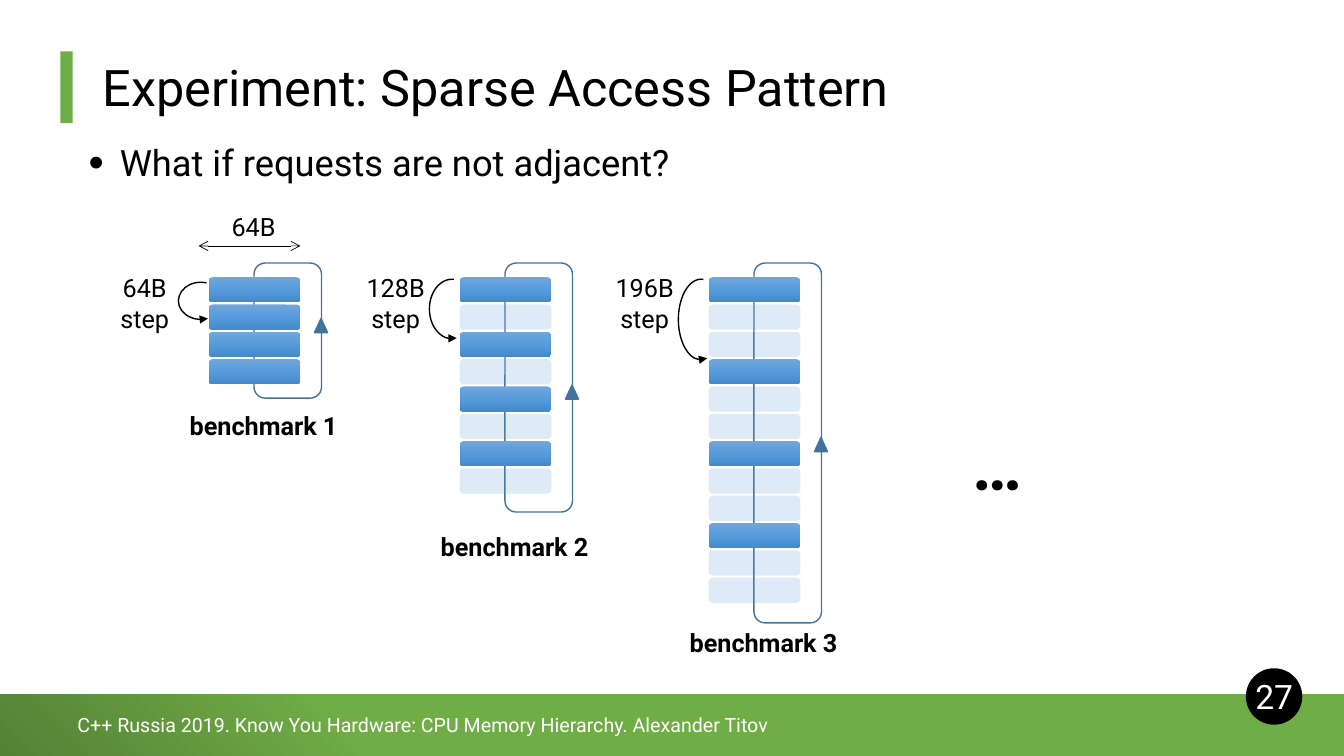
import dataclasses

import lxml.etree
import pptx
import pptx.dml.color
import pptx.enum.shapes
import pptx.enum.text
import pptx.oxml
import pptx.oxml.ns
import pptx.util

GRID = pptx.util.Inches(0.1)
COLUMNS, ROWS = 133.33, 75
FONT = "Roboto"
COLORS = {
    "text": "000000",
    "inverse": "FFFFFF",
    "accent": "70AD47",
    "accent_dark": "548235",
    "loop": "43739E",
    "marker": "41719C",
    "idle": "5B9BD5",
    "used_top": "71A6DB",
    "used_middle": "559BDB",
    "used_bottom": "448ACA",
}
USED_STOPS = [(0, "used_top"), (50, "used_middle"), (100, "used_bottom")]
FOOTER_STOPS = [(0, "accent_dark"), (28, "accent"), (100, "accent")]

STACK_TOP = 27.5
LINE_WIDTH, LINE_HEIGHT = 9.1, 2.5
LINE_PITCH = 2.71
ACCESSES = 4

SHAPE = pptx.enum.shapes.MSO_SHAPE
ANCHOR = pptx.enum.text.MSO_ANCHOR
ALIGN = pptx.enum.text.PP_ALIGN


@dataclasses.dataclass
class Benchmark:
    name: str
    step: str
    column: float
    stride: int
    lines: int
    loop_rows: float
    marker_row: float
    label_row: float
    arc_row: float
    arc_rows: float
    arc_angles: tuple


BENCHMARKS = [
    Benchmark("benchmark 1", "64B", 20.7, 1, 4, 13.4, 31.6, 40.2, 28, 3.7, (151.74, 66.71)),
    Benchmark("benchmark 2", "128B", 45.6, 2, 8, 24.7, 38.2, 52.2, 27.7, 5.9, (159.99, 59.4)),
    Benchmark("benchmark 3", "196B", 70.3, 3, 12, 35.7, 43.4, 61.7, 27.7, 8, (159.99, 59.4)),
]


def grid(*lengths):
    return [round(length * GRID) for length in lengths]


def rgb(name):
    return pptx.dml.color.RGBColor.from_string(COLORS[name])


def add_element(parent, tag, **attributes):
    element = lxml.etree.SubElement(parent, pptx.oxml.ns.qn(tag))
    for key, value in attributes.items():
        element.set(key, str(value))
    return element


def fill_gradient(shape, stops, angle):
    shape.fill.gradient()
    gradient = shape._element.spPr.find(pptx.oxml.ns.qn("a:gradFill"))
    for child in list(gradient):
        gradient.remove(child)
    stop_list = add_element(gradient, "a:gsLst")
    for position, name in stops:
        stop = add_element(stop_list, "a:gs", pos=position * 1000)
        add_element(stop, "a:srgbClr", val=COLORS[name])
    add_element(gradient, "a:lin", ang=angle * 60000, scaled=0)


def add_figure(shapes, kind, box, fill=None, line=None, opacity=None):
    shape = shapes.add_shape(kind, *grid(*box))
    shape.shadow.inherit = False
    if fill:
        shape.fill.solid()
        shape.fill.fore_color.rgb = rgb(fill)
    else:
        shape.fill.background()
    if opacity:
        color = shape._element.spPr.find(".//" + pptx.oxml.ns.qn("a:srgbClr"))
        add_element(color, "a:alpha", val=opacity * 1000)
    if line:
        shape.line.color.rgb = rgb(line)
        shape.line.width = pptx.util.Pt(1)
    else:
        shape.line.fill.background()
    return shape


def write(frame, text, size, color="text", bold=False, align=ALIGN.LEFT):
    frame.text = text
    for para in frame.paragraphs:
        para.alignment = align
        for span in para.runs:
            span.font.name = FONT
            span.font.size = pptx.util.Pt(size)
            span.font.bold = bold
            span.font.color.rgb = rgb(color)


def add_text(shapes, box, text, size, wrap=False, anchor=ANCHOR.MIDDLE, **style):
    frame = shapes.add_textbox(*grid(*box)).text_frame
    frame.word_wrap = wrap
    frame.vertical_anchor = anchor
    write(frame, text, size, **style)
    return frame


def add_title(page, text):
    title = page.shapes.title
    title.left, title.top, title.width, title.height = grid(9.2, 0, 115, 12.2)
    frame = title.text_frame
    frame.auto_size = pptx.enum.text.MSO_AUTO_SIZE.NONE
    frame.vertical_anchor = ANCHOR.BOTTOM
    write(frame, text, 36)
    frame.paragraphs[0].line_spacing = 0.9


def add_bullet(shapes, box, text, size):
    para = add_text(shapes, box, text, size, wrap=True, anchor=ANCHOR.TOP).paragraphs[0]
    properties = para._p.get_or_add_pPr()
    indent = pptx.util.Inches(0.31)
    properties.set("marL", str(indent))
    properties.set("indent", str(-indent))
    add_element(properties, "a:buSzPct", val=120000)
    add_element(properties, "a:buFont", typeface="Arial")
    add_element(properties, "a:buChar", char="•")
    para.line_spacing = 0.8


def add_frame(shapes):
    footer = add_figure(shapes, SHAPE.RECTANGLE, (0, 68.9, COLUMNS, 6.1), "accent")
    fill_gradient(footer, FOOTER_STOPS, 315)
    add_figure(shapes, SHAPE.RECTANGLE, (6, 5.1, 1.2, 7.1), "accent")
    add_figure(shapes, SHAPE.OVAL, (123.6, 66.3, 5.6, 5.6), "text")
    add_text(shapes, (6.7, 69.5, 110, 4.8),
             "C++ Russia 2019. Know You Hardware: CPU Memory Hierarchy. Alexander Titov",
             14, wrap=True, color="inverse")
    add_text(shapes, (122.8, 66.3, 7.2, 5.6), "27", 24,
             wrap=True, color="inverse", align=ALIGN.CENTER)


def add_step_arc(shapes, box, angles):
    arc = add_figure(shapes, SHAPE.ARC, box, line="text")
    arc.adjustments[0], arc.adjustments[1] = angles
    arc._element.spPr.xfrm.set("flipH", "1")
    add_element(arc.line._get_or_add_ln(), "a:tailEnd", type="triangle")


def add_benchmark(page, bench):
    shapes = page.shapes.add_group_shape().shapes
    left = bench.column
    add_figure(shapes, SHAPE.ROUNDED_RECTANGLE, (left + 4.5, 26.1, 6.7, bench.loop_rows),
               "inverse", "loop")
    add_figure(shapes, SHAPE.ISOSCELES_TRIANGLE, (left + 10.5, bench.marker_row, 1.3, 1.4),
               "marker", "loop")
    for index in range(bench.lines):
        box = (left, STACK_TOP + index * LINE_PITCH, LINE_WIDTH, LINE_HEIGHT)
        if index % bench.stride == 0 and index < ACCESSES * bench.stride:
            used = add_figure(shapes, SHAPE.ROUNDED_RECTANGLE, box, "idle")
            fill_gradient(used, USED_STOPS, 90)
        else:
            add_figure(shapes, SHAPE.ROUNDED_RECTANGLE, box, "idle", opacity=20)
    add_text(shapes, (left - 3, bench.label_row, 16.9, 4), bench.name, 18,
             bold=True, align=ALIGN.CENTER)
    add_step_arc(shapes, (left - 3, bench.arc_row, 4.5, bench.arc_rows), bench.arc_angles)
    add_text(shapes, (left - 10.3, 26.5, 7.9, 7.1), bench.step + "\nstep", 18,
             align=ALIGN.CENTER)


def add_width_measure(page):
    shapes = page.shapes.add_group_shape().shapes
    measure = shapes.add_connector(pptx.enum.shapes.MSO_CONNECTOR.STRAIGHT,
                                   *grid(19.7, 24.4, 29.8, 24.4))
    measure.line.color.rgb = rgb("text")
    measure.line.width = pptx.util.Pt(0.5)
    for end in ("a:headEnd", "a:tailEnd"):
        add_element(measure.line._get_or_add_ln(), end, type="arrow")
    add_element(measure._element.spPr, "a:effectLst")
    add_text(shapes, (21.9, 20.5, 6.5, 4), "64B", 18, align=ALIGN.CENTER)


def main():
    deck = pptx.Presentation()
    deck.slide_width, deck.slide_height = grid(COLUMNS, ROWS)
    page = deck.slides.add_slide(deck.slide_layouts[5])
    add_frame(page.shapes)
    add_title(page, "Experiment: Sparse Access Pattern")
    add_bullet(page.shapes, (7.8, 14.3, 119.5, 4.8), "What if requests are not adjacent?", 25.9)
    for bench in BENCHMARKS:
        add_benchmark(page, bench)
    add_width_measure(page)
    add_text(page.shapes, (95.4, 41.4, 7, 9.1), "…", 48, bold=True, align=ALIGN.CENTER)
    deck.save("out.pptx")


if __name__ == "__main__":
    main()
